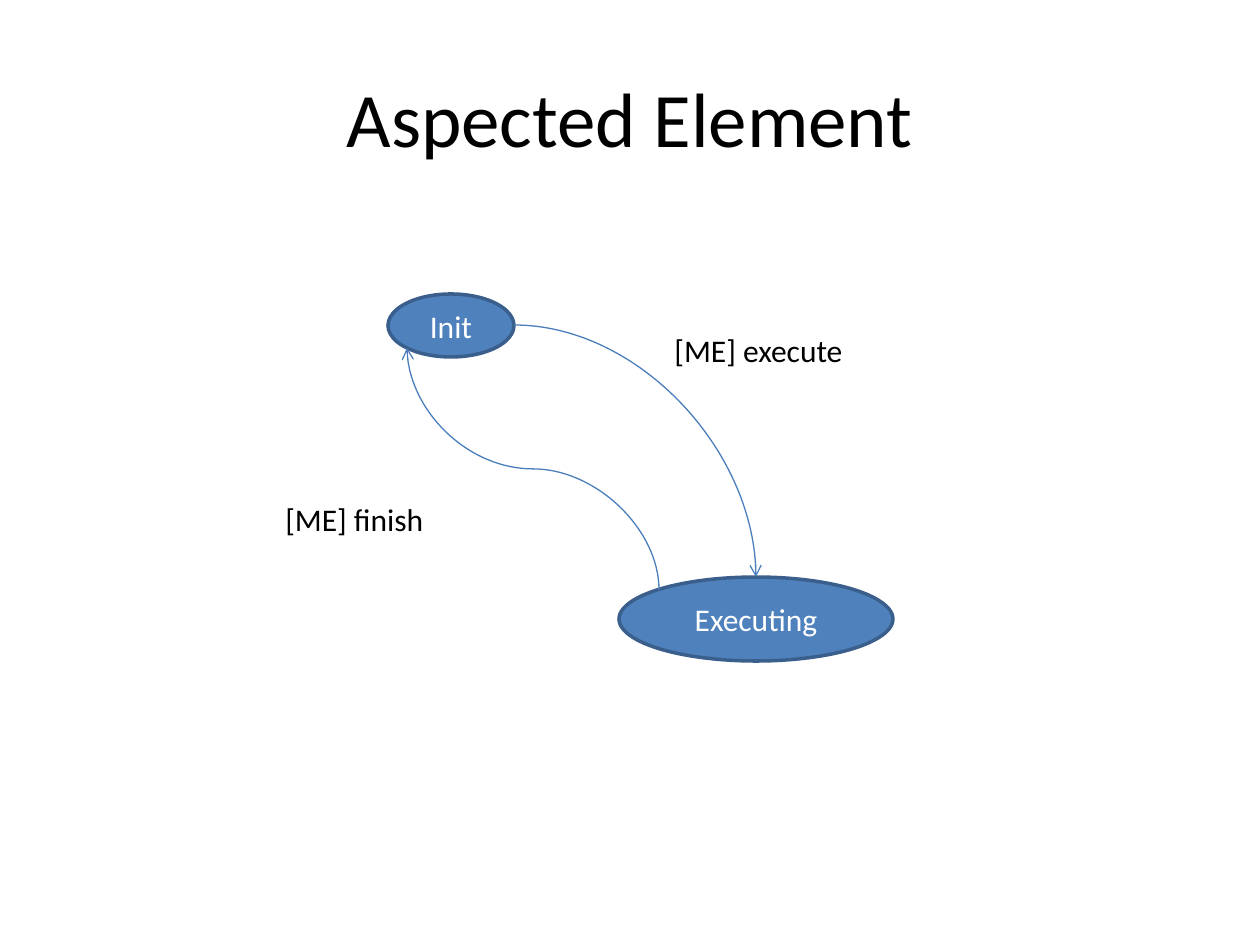
from dataclasses import dataclass

from lxml import etree
from pptx import Presentation
from pptx.dml.color import RGBColor
from pptx.enum import shapes, text
from pptx.oxml.ns import qn
from pptx.util import Pt

PX = 914400 / 126  # EMU per px


@dataclass(frozen=True)
class Theme:
    font: str = "Calibri"
    title_size: int = 44
    body_size: int = 18
    dark: str = "000000"
    light: str = "FFFFFF"
    state_fill: str = "4F81BD"
    state_line: str = "3A5F8C"
    arrow: str = "4B7EBC"
    state_width: float = 2
    arrow_width: float = 0.75


THEME = Theme()


def px(*values):
    return [round(v * PX) for v in values]


def rgb(value):
    return RGBColor.from_string(value)


def write(sp, content, size, color, align, anchor):
    tf = sp.text_frame
    tf.text = content
    tf.vertical_anchor = anchor
    p = tf.paragraphs[0]
    p.alignment = align
    font = p.runs[0].font
    font.name, font.size, font.color.rgb = THEME.font, Pt(size), rgb(color)
    return tf


def add_title(slide, content, box):
    sp = slide.shapes.title
    sp.left, sp.top, sp.width, sp.height = px(*box)
    write(sp, content, THEME.title_size, THEME.dark,
          text.PP_ALIGN.CENTER, text.MSO_ANCHOR.MIDDLE)


def add_state(slide, name, box):
    sp = slide.shapes.add_shape(shapes.MSO_SHAPE.OVAL, *px(*box))
    sp.shadow.inherit = False
    sp.fill.solid()
    sp.fill.fore_color.rgb = rgb(THEME.state_fill)
    sp.line.color.rgb = rgb(THEME.state_line)
    sp.line.width = Pt(THEME.state_width)
    write(sp, name, THEME.body_size, THEME.light,
          text.PP_ALIGN.CENTER, text.MSO_ANCHOR.MIDDLE)


def add_label(slide, content, box):
    sp = slide.shapes.add_textbox(*px(*box))
    tf = write(sp, content, THEME.body_size, THEME.dark,
               text.PP_ALIGN.LEFT, text.MSO_ANCHOR.TOP)
    tf.word_wrap = False
    tf.auto_size = text.MSO_AUTO_SIZE.SHAPE_TO_FIT_TEXT


def add_transition(slide, start, end, preset, upward=False):
    """Curved arrow; an upward one leaves its start vertically."""
    (x1, y1), (x2, y2) = start, end
    if upward:  # ends before the quarter turn about the centre
        cx, cy = (x1 + x2) / 2, (y1 + y2) / 2
        dx, dy = (x2 - x1) / 2, (y2 - y1) / 2
        x1, y1, x2, y2 = cx + dy, cy - dx, cx - dy, cy + dx
        x1, y1, x2, y2 = (min(x1, x2), max(y1, y2),
                          max(x1, x2), min(y1, y2))
    line = slide.shapes.add_connector(shapes.MSO_CONNECTOR.CURVE,
                                      *px(x1, y1, x2, y2))
    line.line.color.rgb = rgb(THEME.arrow)
    line.line.width = Pt(THEME.arrow_width)
    sp_pr = line._element.spPr
    sp_pr.find(qn("a:prstGeom")).set("prst", preset)
    if upward:
        sp_pr.find(qn("a:xfrm")).set("rot", str(270 * 60000))
    # Open arrowhead and no shadow
    etree.SubElement(sp_pr.find(qn("a:ln")), qn("a:tailEnd"), type="arrow")
    etree.SubElement(sp_pr, qn("a:effectLst"))


def main():
    prs = Presentation()
    prs.slide_width, prs.slide_height = px(1260, 945)
    slide = prs.slides.add_slide(prs.slide_layouts[5])
    add_title(slide, "Aspected Element", (63, 38, 1134, 157))

    # States
    add_state(slide, "Init", (388, 294, 126, 63))
    add_state(slide, "Executing", (619, 577, 274, 84))

    # Transitions and their labels
    add_transition(slide, (514, 325), (756, 577), "curvedConnector2")
    add_label(slide, "[ME] execute", (662, 325, 195, 50))
    add_transition(slide, (659, 590), (407, 348), "curvedConnector3",
                   upward=True)
    add_label(slide, "[ME] finish", (273, 494, 165, 50))

    prs.save("out.pptx")


if __name__ == "__main__":
    main()
